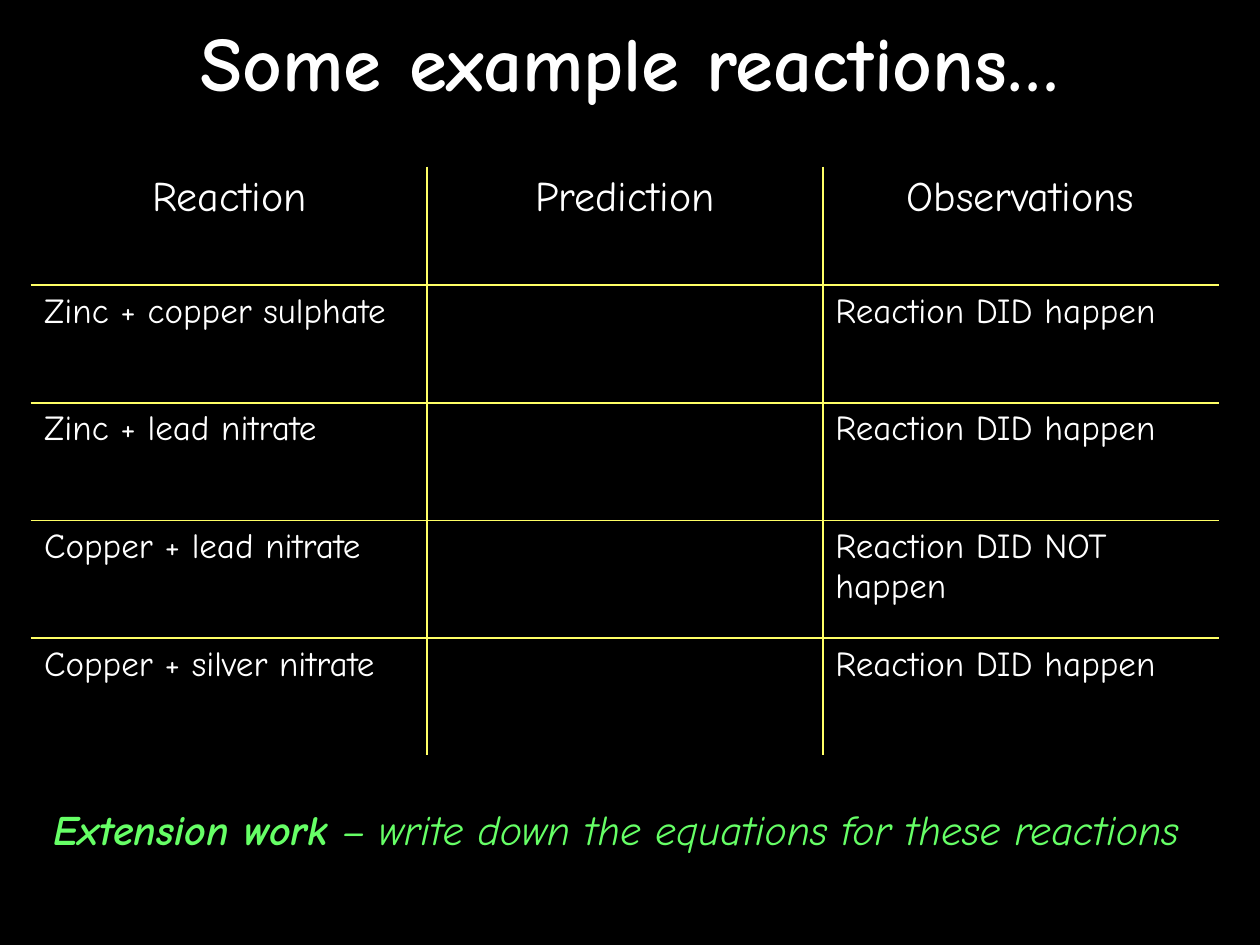
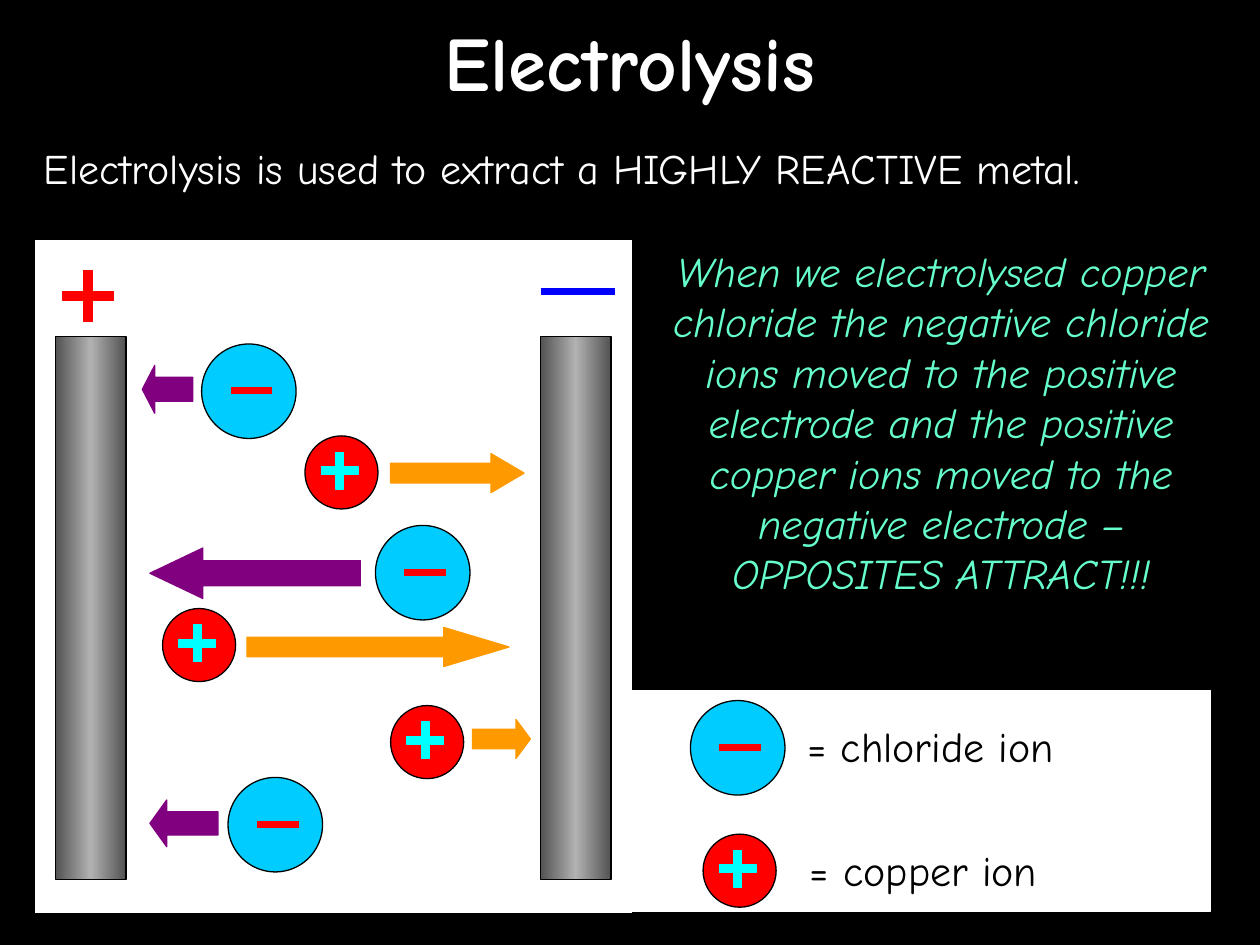
import copy
from dataclasses import dataclass

import pptx
import pptx.dml.color
import pptx.enum.shapes
import pptx.enum.text
import pptx.oxml
import pptx.oxml.ns
import pptx.util

Inches = pptx.util.Inches
Pt = pptx.util.Pt
Shape = pptx.enum.shapes.MSO_SHAPE
Align = pptx.enum.text.PP_ALIGN
Anchor = pptx.enum.text.MSO_ANCHOR


@dataclass(frozen=True)
class Theme:
    font: str = "Comic Neue"
    title_size: int = 44
    body_size: int = 24
    cell_size: int = 20
    outline: float = 0.75
    border: float = 1.08
    minus: float = 4
    black: str = "000000"
    white: str = "FFFFFF"
    grid: str = "FFFF66"
    extension: str = "66FF66"
    summary: str = "66FFCC"
    chloride: str = "00CCFF"
    copper: str = "FF0000"
    copper_sign: str = "00FFFF"
    negative: str = "0000FF"
    chloride_arrow: str = "800080"
    copper_arrow: str = "FF9900"
    metal_edge: str = "525252"
    metal_centre: str = "B2B2B2"


THEME = Theme()

REACTIONS_TITLE = "Some example reactions…"
REACTION_ROWS = [
    ("Reaction", "Prediction", "Observations"),
    ("Zinc + copper sulphate", "", "Reaction DID happen"),
    ("Zinc + lead nitrate", "", "Reaction DID happen"),
    ("Copper + lead nitrate", "", "Reaction DID NOT happen"),
    ("Copper + silver nitrate", "", "Reaction DID happen"),
]
EXTENSION_RUNS = [
    ("Extension work", True),
    (" – write down the equations for these reactions", False),
]

ELECTROLYSIS_TITLE = "Electrolysis"
INTRODUCTION = "Electrolysis is used to extract a HIGHLY REACTIVE metal."
SUMMARY = (
    "When we electrolysed copper chloride the negative chloride ions moved to "
    "the positive electrode and the positive copper ions moved to the negative "
    "electrode – OPPOSITES ATTRACT!!!"
)
PANELS = [
    ((0.27, 1.9, 4.75, 5.35), THEME.black),
    ((4.94, 5.48, 4.67, 1.75), THEME.white),
]
CHLORIDE_IONS = [(1.6, 2.73), (2.98, 4.17), (1.81, 6.17), (5.48, 5.56)]
COPPER_IONS = [(2.42, 3.46), (1.29, 4.83), (3.1, 5.6), (5.58, 6.62)]
ELECTRODE_LEFTS = [0.44, 4.29]
LEGEND = [
    ("= chloride ion", (6.31, 5.67, 3.06, 0.5)),
    ("= copper ion", (6.33, 6.65, 2.9, 0.5)),
]
COPPER_ARROWS = [
    ((3.1, 3.6, 1.06, 0.31), 0.85),
    ((3.75, 5.71, 0.46, 0.31), 0.37),
    ((1.96, 4.98, 2.08, 0.31), 1.67),
]
CHLORIDE_ARROWS = [
    ((1.13, 2.9, 0.4, 0.38), 0.26),
    ((1.19, 6.35, 0.54, 0.37), 0.36),
    ((1.19, 4.35, 1.67, 0.4), 1.05),
]


def rgb(color):
    return pptx.dml.color.RGBColor.from_string(color)


def style_paragraph(paragraph, size, color, align=Align.LEFT, bold=False, italic=False):
    paragraph.alignment = align
    font = paragraph.font
    font.name = THEME.font
    font.size = Pt(size)
    font.color.rgb = rgb(color)
    font.bold = bold
    font.italic = italic


def add_text(slide, box, runs, color, size=THEME.body_size, anchor=Anchor.TOP, **style):
    frame = slide.shapes.add_textbox(*map(Inches, box)).text_frame
    frame.word_wrap = True
    frame.vertical_anchor = anchor
    paragraph = frame.paragraphs[0]
    style_paragraph(paragraph, size, color, **style)
    for text, bold in runs:
        run = paragraph.add_run()
        run.text = text
        if bold:
            run.font.bold = True


def add_plain_text(slide, box, text, color, **style):
    add_text(slide, box, [(text, False)], color, **style)


def add_titled_slide(presentation, title):
    slide = presentation.slides.add_slide(presentation.slide_layouts[6])
    slide.background.fill.solid()
    slide.background.fill.fore_color.rgb = rgb(THEME.black)
    add_plain_text(slide, (0, 0, 10, 0.97), title, THEME.white, size=THEME.title_size,
                   anchor=Anchor.MIDDLE, align=Align.CENTER, bold=True)
    return slide


def add_filled_shape(slide, kind, box, fill, line=None, adjustments=()):
    shape = slide.shapes.add_shape(kind, *map(Inches, box))
    shape.shadow.inherit = False
    shape.fill.solid()
    shape.fill.fore_color.rgb = rgb(fill)
    shape.line.color.rgb = rgb(line or fill)
    shape.line.width = Pt(THEME.outline)
    for index, value in enumerate(adjustments):
        shape.adjustments[index] = value
    return shape


def add_minus(slide, left, top, width, color):
    connector = slide.shapes.add_connector(
        pptx.enum.shapes.MSO_CONNECTOR.STRAIGHT,
        *map(Inches, (left, top, left + width, top)))
    connector.line.color.rgb = rgb(color)
    connector.line.width = Pt(THEME.minus)
    properties = connector._element.spPr
    properties.append(pptx.oxml.parse_xml(
        f'<a:effectLst {pptx.oxml.ns.nsdecls("a")}/>'))


def add_chloride_ion(slide, left, top):
    add_filled_shape(slide, Shape.OVAL, (left, top, 0.75, 0.75),
                     THEME.chloride, THEME.black)
    add_minus(slide, left + 0.23, top + 0.37, 0.33, THEME.copper)


def add_copper_ion(slide, left, top):
    add_filled_shape(slide, Shape.OVAL, (left, top, 0.58, 0.58),
                     THEME.copper, THEME.black)
    add_filled_shape(slide, Shape.CROSS, (left + 0.13, top + 0.13, 0.29, 0.29),
                     THEME.copper_sign, adjustments=[0.39])


def add_electrode(slide, left):
    electrode = add_filled_shape(slide, Shape.RECTANGLE, (left, 2.67, 0.56, 4.31),
                                 THEME.metal_edge, THEME.black)
    fill = electrode.fill
    fill.gradient()
    fill.gradient_angle = 0
    first_stop = fill.gradient_stops[0]._gs
    first_stop.addnext(copy.deepcopy(first_stop))
    colors = (THEME.metal_edge, THEME.metal_centre, THEME.metal_edge)
    for stop, position, color in zip(fill.gradient_stops, (0, 0.5, 1), colors):
        stop.position = position
        stop.color.rgb = rgb(color)


def set_borders(cell, colors):
    properties = cell._tc.get_or_add_tcPr()
    for index, (side, color) in enumerate(colors.items()):
        properties.insert(index, pptx.oxml.parse_xml(
            f'<a:{side} {pptx.oxml.ns.nsdecls("a")} w="{Pt(THEME.border)}">'
            f'<a:solidFill><a:srgbClr val="{color}"/></a:solidFill></a:{side}>'))


def add_reaction_table(slide):
    row_count, column_count = len(REACTION_ROWS), len(REACTION_ROWS[0])
    table = slide.shapes.add_table(
        row_count, column_count, *map(Inches, (0.25, 1.33, 9.42, 4.67))).table
    table.first_row = False
    table.horz_banding = False
    for row, texts in enumerate(REACTION_ROWS):
        for column, text in enumerate(texts):
            cell = table.cell(row, column)
            cell.fill.background()
            outer_edges = {
                "lnL": column == 0,
                "lnR": column == column_count - 1,
                "lnT": row == 0,
                "lnB": row == row_count - 1,
            }
            set_borders(cell, {side: THEME.black if outer else THEME.grid
                               for side, outer in outer_edges.items()})
            cell.text = text
            header = row == 0
            style_paragraph(cell.text_frame.paragraphs[0],
                            THEME.body_size if header else THEME.cell_size,
                            THEME.white, Align.CENTER if header else Align.LEFT)


def build_reactions_slide(presentation):
    slide = add_titled_slide(presentation, REACTIONS_TITLE)
    add_reaction_table(slide)
    add_text(slide, (0.33, 6.33, 9.42, 0.5), EXTENSION_RUNS, THEME.extension, italic=True)


def build_electrolysis_slide(presentation):
    slide = add_titled_slide(presentation, ELECTROLYSIS_TITLE)
    add_plain_text(slide, (0.25, 1.08, 9.5, 0.5), INTRODUCTION, THEME.white)
    for box, line in PANELS:
        add_filled_shape(slide, Shape.RECTANGLE, box, THEME.white, line)
    for position in CHLORIDE_IONS:
        add_chloride_ion(slide, *position)
    for position in COPPER_IONS:
        add_copper_ion(slide, *position)
    for left in ELECTRODE_LEFTS:
        add_electrode(slide, left)
    add_minus(slide, 4.29, 2.31, 0.59, THEME.negative)
    add_filled_shape(slide, Shape.CROSS, (0.5, 2.15, 0.4, 0.4), THEME.copper,
                     adjustments=[0.41])
    for text, box in LEGEND:
        add_plain_text(slide, box, text, THEME.black)
    add_plain_text(slide, (5.19, 1.9, 4.56, 2.9), SUMMARY, THEME.summary,
                   align=Align.CENTER, italic=True)
    for kind, color, arrows in (
        (Shape.RIGHT_ARROW, THEME.copper_arrow, COPPER_ARROWS),
        (Shape.LEFT_ARROW, THEME.chloride_arrow, CHLORIDE_ARROWS),
    ):
        for box, head in arrows:
            add_filled_shape(slide, kind, box, color, adjustments=[0.5, head])


def main():
    presentation = pptx.Presentation()
    presentation.slide_width = Inches(10)
    presentation.slide_height = Inches(7.5)
    build_reactions_slide(presentation)
    build_electrolysis_slide(presentation)
    presentation.save("out.pptx")


if __name__ == "__main__":
    main()
